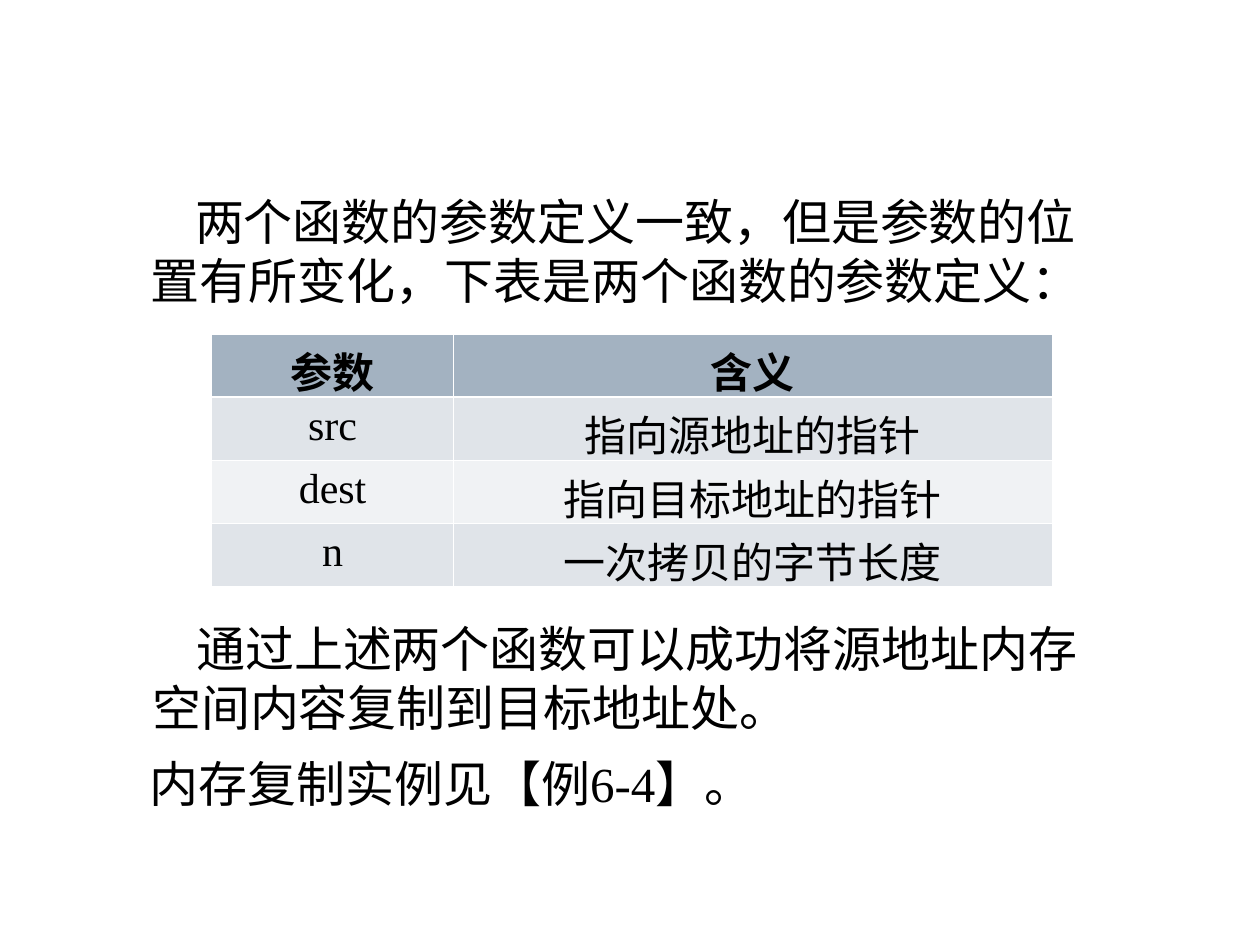
from lxml.etree import SubElement
from pptx import Presentation
from pptx.dml.color import RGBColor
from pptx.enum.text import PP_ALIGN
from pptx.oxml.ns import qn
from pptx.util import Inches, Pt


def color(value):
    return RGBColor.from_string(value)


class SlideBuilder:
    sans = "DejaVu Sans"
    serif = "Times New Roman"
    text_color = "000000"
    border_color = "FFFFFF"
    header_fill = "A3B2C1"
    band_fills = ("E0E4E9", "F0F2F4")
    body_size = 28
    table_size = 24
    thin, thick = 0.45, 1.47

    def __init__(self, prs):
        self.s = prs.slides.add_slide(prs.slide_layouts[6])

    def run(self, p, text, font, size, bold=False):
        r = p.add_run()
        r.text = text
        r.font.name = font
        r.font.size = Pt(size)
        r.font.bold = bold
        r.font.color.rgb = color(self.text_color)

    def text(self, left, top, width, height, runs, indent):
        sp = self.s.shapes.add_textbox(
            Inches(left), Inches(top), Inches(width), Inches(height))
        tf = sp.text_frame
        tf.word_wrap = True
        p = tf.paragraphs[0]
        p._p.get_or_add_pPr().set("indent", str(Inches(indent)))
        for text, font in runs:
            self.run(p, text, font, self.body_size)

    def border(self, cell, side, width):
        tc_pr = cell._tc.get_or_add_tcPr()
        ln = SubElement(tc_pr, qn(f"a:ln{side}"), w=str(Pt(width)))
        fill = SubElement(ln, qn("a:solidFill"))
        SubElement(fill, qn("a:srgbClr"), val=self.border_color)

    def cell(self, cell, text, row):
        header = row == 0
        widths = {
            "L": self.thin,
            "R": self.thin,
            "T": self.thick if row == 1 else self.thin,
            "B": self.thick if header else self.thin,
        }
        for side, width in widths.items():
            self.border(cell, side, width)
        cell.fill.solid()
        fill = self.header_fill if header else self.band_fills[(row - 1) % 2]
        cell.fill.fore_color.rgb = color(fill)
        p = cell.text_frame.paragraphs[0]
        p.alignment = PP_ALIGN.CENTER
        self.run(p, text, self.serif, self.table_size, header)

    def table(self, left, top, col_widths, row_height, rows):
        table = self.s.shapes.add_table(
            len(rows), len(col_widths), Inches(left), Inches(top),
            Inches(sum(col_widths)), Inches(row_height * len(rows))).table
        for col, width in zip(table.columns, col_widths):
            col.width = Inches(width)
        for i, values in enumerate(rows):
            for j, value in enumerate(values):
                self.cell(table.cell(i, j), value, i)


def main():
    prs = Presentation()
    prs.slide_width, prs.slide_height = Inches(10), Inches(7.5)
    b = SlideBuilder(prs)
    b.text(1.1, 1.47, 7.8, 1.04, [
        ("两个函数的参数定义一致，但是参数的位置有所变化，下表是两个函数的参数定义：", b.sans),
    ], 0.35)
    b.table(1.68, 2.65, (1.92, 4.75), 0.5, [
        ("参数", "含义"),
        ("src", "指向源地址的指针"),
        ("dest", "指向目标地址的指针"),
        ("n", "一次拷贝的字节长度"),
    ])
    b.text(1.11, 4.86, 7.8, 1.04, [
        ("通过上述两个函数可以成功将源地址内存空间内容复制到目标地址处。", b.sans),
    ], 0.35)
    b.text(0.65, 5.93, 8.75, 0.57, [
        ("内存复制实例见", b.sans),
        ("【例6-4】。", b.serif),
    ], 0.44)
    prs.save("out.pptx")


if __name__ == "__main__":
    main()
